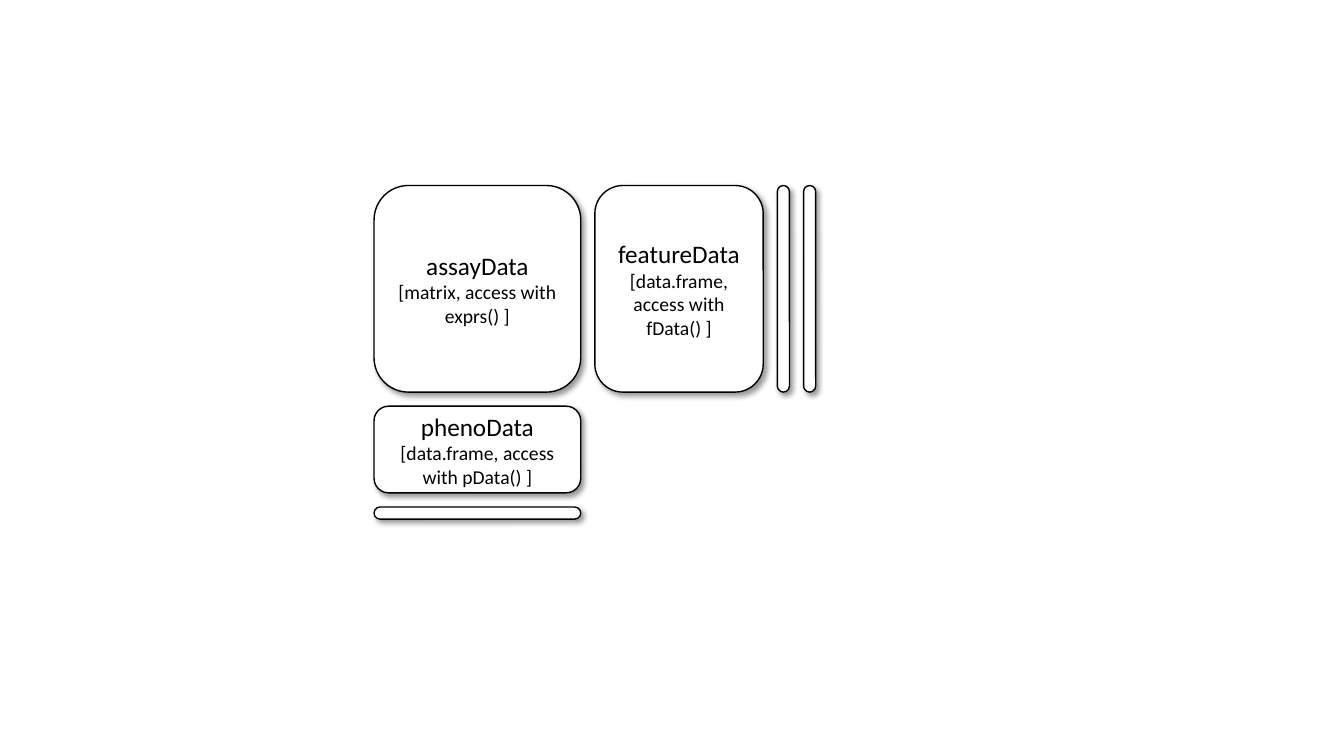
from dataclasses import dataclass
from lxml import etree
from pptx import Presentation
from pptx.dml.color import RGBColor
from pptx.enum.shapes import MSO_SHAPE
from pptx.enum.text import MSO_ANCHOR, PP_ALIGN
from pptx.oxml.ns import qn
from pptx.util import Inches, Pt

ROUND = MSO_SHAPE.ROUNDED_RECTANGLE
MIDDLE = MSO_ANCHOR.MIDDLE
CENTER = PP_ALIGN.CENTER


@dataclass
class Theme:
    ink: RGBColor = RGBColor(0, 0, 0)
    paper: RGBColor = RGBColor(255, 255, 255)
    font: str = "Calibri"
    name: int = 18
    note: int = 14
    line: int = 1


theme = Theme()


def add_shadow(shape):
    shape.shadow.inherit = False
    effects = shape._element.spPr.find(qn("a:effectLst"))
    outer = etree.SubElement(
        effects, qn("a:outerShdw"), blurRad=str(Pt(4)), dist=str(Pt(3)),
        dir=str(45 * 60000), algn="tl", rotWithShape="0")
    color = etree.SubElement(outer, qn("a:srgbClr"), val=str(theme.ink))
    etree.SubElement(color, qn("a:alpha"), val="40000")


def add_box(left, top, width, height, texts):
    box = slide.shapes.add_shape(
        ROUND, Inches(left), Inches(top), Inches(width), Inches(height))
    box.fill.solid()
    box.fill.fore_color.rgb = theme.paper
    box.line.color.rgb = theme.ink
    box.line.width = Pt(theme.line)
    add_shadow(box)
    if not texts:
        box.adjustments[0] = 0.5
        return
    frame = box.text_frame
    frame.word_wrap = True
    frame.vertical_anchor = MIDDLE
    frame.text = "\n".join(texts)
    for para, size in zip(frame.paragraphs, (theme.name, theme.note)):
        para.alignment = CENTER
        para.font.name = theme.font
        para.font.size = Pt(size)
        para.font.color.rgb = theme.ink


# Slide
deck = Presentation()
deck.slide_width = Inches(13.33)
deck.slide_height = Inches(7.5)
slide = deck.slides.add_slide(deck.slide_layouts[6])

# Shared grid
LEFT, TOP = 3.71, 1.84
SIDE, BAR, GAP = 2.05, 0.12, 0.14

# Sample column: assay matrix, sample data and a bar below
column = [
    (SIDE, ("assayData", "[matrix, access with exprs() ]")),
    (0.86, ("phenoData", "[data.frame, access with pData() ]")),
    (BAR, ()),
]
top = TOP
for height, texts in column:
    add_box(LEFT, top, SIDE, height, texts)
    top += height + GAP

# Feature row: feature data and two bars to the right
row = [
    (1.67, ("featureData", "[data.frame, access with fData() ]")),
    (BAR, ()),
    (BAR, ()),
]
left = LEFT + SIDE + GAP
for width, texts in row:
    add_box(left, TOP, width, SIDE, texts)
    left += width + GAP

deck.save("out.pptx")
